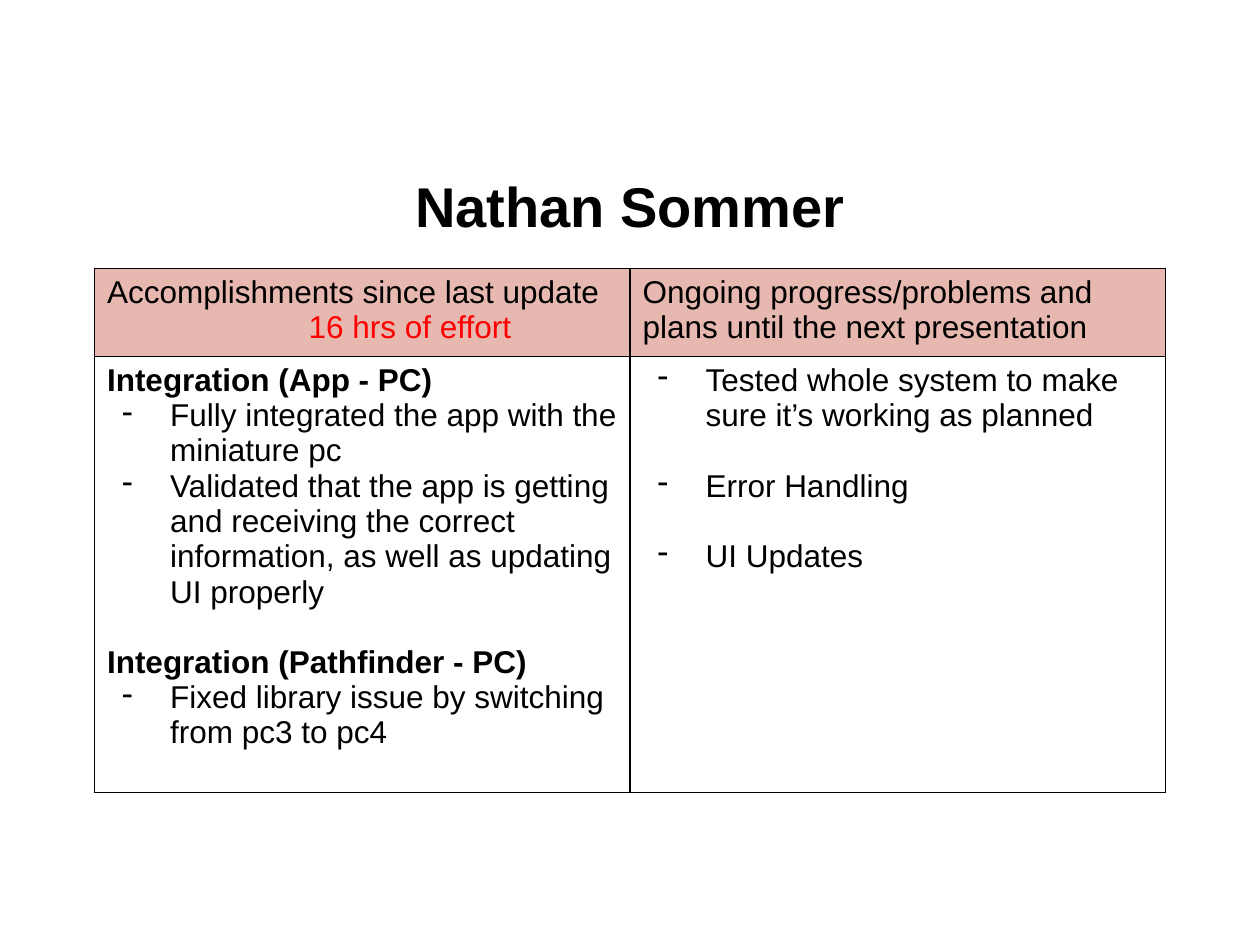
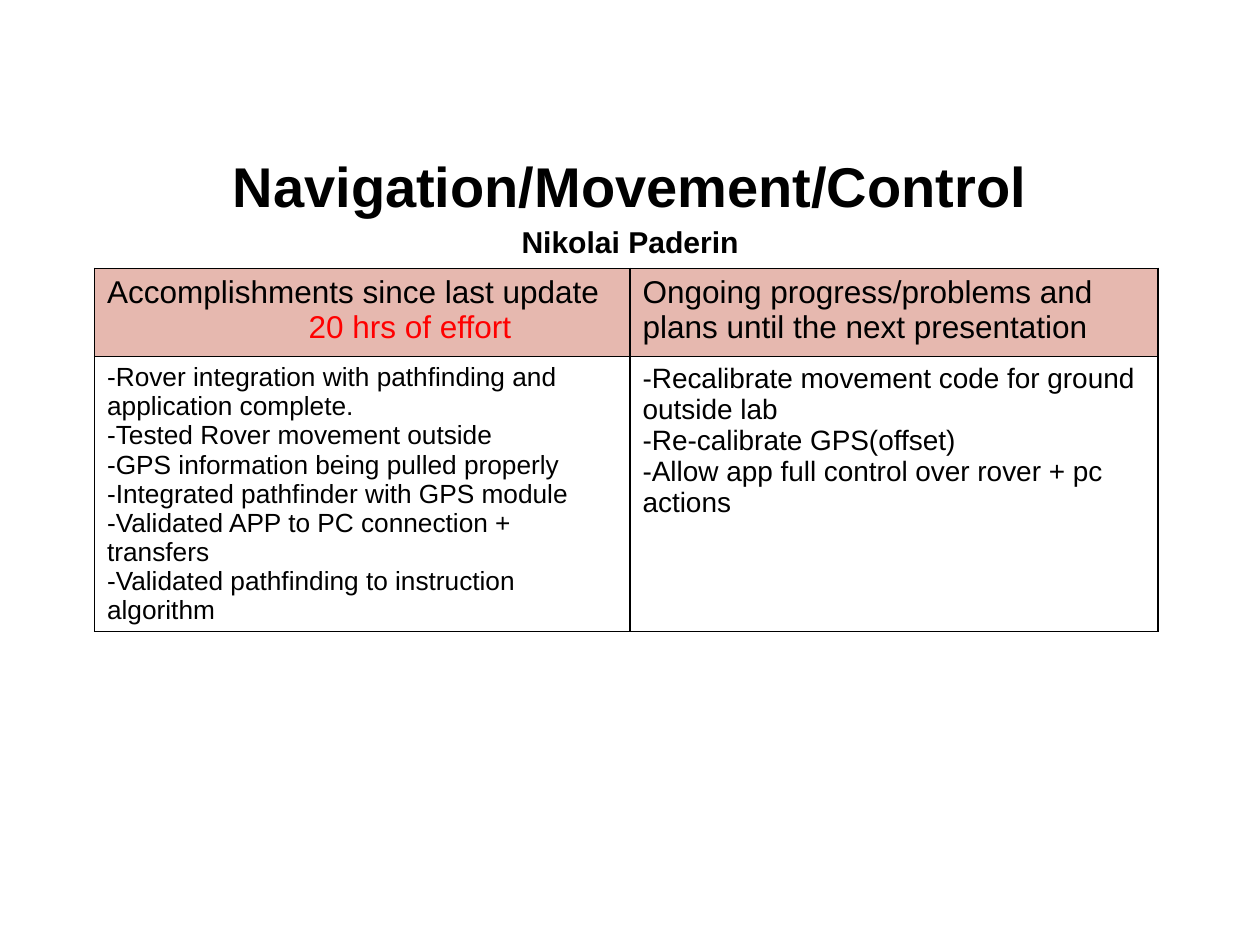
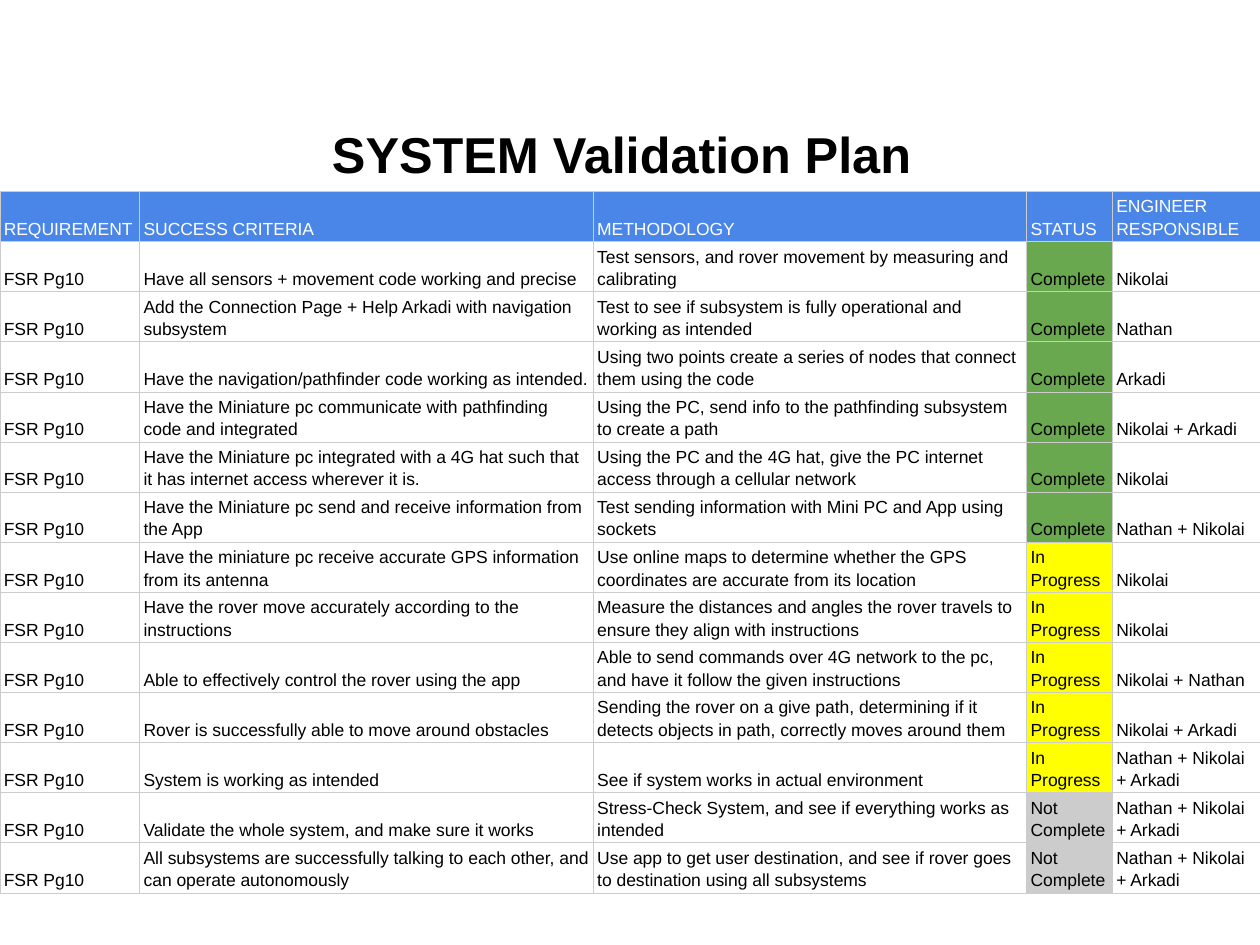
"""Build the project status slides: two progress updates and the validation plan."""
from dataclasses import dataclass

from lxml import etree
from pptx import Presentation
from pptx import util as u
from pptx.dml.color import RGBColor
from pptx.enum import text
from pptx.oxml.ns import qn


@dataclass(frozen=True)
class Theme:
    """Colours, type sizes and lengths shared by the slides."""
    font: str = "Arial"
    ink: str = "000000"
    accent: str = "FF0000"
    light: str = "FFFFFF"
    update_header: str = "E6B8AF"
    plan_header: str = "4A86E8"
    plan_border: str = "CCCCCC"
    title: float = 32
    subtitle: float = 17.2
    plan_title: float = 28.8
    body: float = 18
    plan: float = 10
    leading: float = 1.15
    gap: float = 20
    indent: float = 0.5
    hanging: float = 0.38
    effort_indent: float = 1.6


THEME = Theme()
STATUS_FILLS = {"Complete": "6AA84F", "In Progress": "FFFF00", "Not Complete": "CCCCCC"}
DONE, DOING, TODO = STATUS_FILLS
EVERYONE = "Nathan + Nikolai + Arkadi"

UPDATES = [
    {
        "title": ["Nathan Sommer"],
        "effort": "16 hrs of effort",
        "columns": [4.25, 4.25],
        "body_height": 3.46,
        "sizes": [18, 18],
        "done": [
            ("Integration (App - PC)", "heading"),
            ("Fully integrated the app with the miniature pc", "bullet"),
            ("Validated that the app is getting and receiving the correct information, "
             "as well as updating UI properly", "bullet"),
            ("Integration (Pathfinder - PC)", "heading"),
            ("Fixed library issue by switching from pc3 to pc4", "bullet"),
        ],
        "next": [
            ("Tested whole system to make sure it’s working as planned", "spaced bullet"),
            ("Error Handling", "spaced bullet"),
            ("UI Updates", "spaced bullet"),
        ],
    },
    {
        "title": ["Navigation/Movement/Control", "Nikolai Paderin"],
        "effort": "20 hrs of effort",
        "columns": [4.25, 4.19],
        "body_height": 2.18,
        "sizes": [15, 16],
        "done": [
            ("-Rover integration with pathfinding and application complete.", "plain"),
            ("-Tested Rover movement outside", "plain"),
            ("-GPS information being pulled properly", "plain"),
            ("-Integrated pathfinder with GPS module", "plain"),
            ("-Validated APP to PC connection + transfers", "plain"),
            ("-Validated pathfinding to instruction algorithm", "plain"),
        ],
        "next": [
            ("-Recalibrate movement code for ground outside lab", "plain"),
            ("-Re-calibrate GPS(offset)", "plain"),
            ("-Allow app full control over rover + pc actions", "plain"),
        ],
    },
]

PLAN_TITLE = "SYSTEM Validation Plan"
PLAN_HEADER = ("REQUIREMENT", "SUCCESS CRITERIA", "METHODOLOGY", "STATUS", "ENGINEER RESPONSIBLE")
PLAN_COLUMNS = [1.11, 3.6, 3.44, 0.68, 1.17]
PLAN_HEIGHT = 5.57
REQUIREMENT = "FSR Pg10"
PLAN = [
    ("Have all sensors + movement code working and precise",
     "Test sensors, and rover movement by measuring and calibrating", DONE, "Nikolai"),
    ("Add the Connection Page + Help Arkadi with navigation subsystem",
     "Test to see if subsystem is fully operational and working as intended", DONE, "Nathan"),
    ("Have the navigation/pathfinder code working as intended.",
     "Using two points create a series of nodes that connect them using the code", DONE, "Arkadi"),
    ("Have the Miniature pc communicate with pathfinding code and integrated",
     "Using the PC, send info to the pathfinding subsystem to create a path",
     DONE, "Nikolai + Arkadi"),
    ("Have the Miniature pc integrated with a 4G hat such that it has internet access "
     "wherever it is.",
     "Using the PC and the 4G hat, give the PC internet access through a cellular network",
     DONE, "Nikolai"),
    ("Have the Miniature pc send and receive information from the App",
     "Test sending information with Mini PC and App using sockets", DONE, "Nathan + Nikolai"),
    ("Have the miniature pc receive accurate GPS information from its antenna",
     "Use online maps to determine whether the GPS coordinates are accurate from its location",
     DOING, "Nikolai"),
    ("Have the rover move accurately according to the instructions",
     "Measure the distances and angles the rover travels to ensure they align with instructions",
     DOING, "Nikolai"),
    ("Able to effectively control the rover using the app",
     "Able to send commands over 4G network to the pc, and have it follow the given instructions",
     DOING, "Nikolai + Nathan"),
    ("Rover is successfully able to move around obstacles",
     "Sending the rover on a give path, determining if it detects objects in path, "
     "correctly moves around them", DOING, "Nikolai + Arkadi"),
    ("System is working as intended", "See if system works in actual environment",
     DOING, EVERYONE),
    ("Validate the whole system, and make sure it works",
     "Stress-Check System, and see if everything works as intended", TODO, EVERYONE),
    ("All subsystems are successfully talking to each other, and can operate autonomously",
     "Use app to get user destination, and see if rover goes to destination using all subsystems",
     TODO, EVERYONE),
]


def set_font(para, size, color=THEME.ink, bold=False):
    """Give a paragraph its typeface, size, colour and weight."""
    font = para.font
    font.name, font.size, font.bold = THEME.font, u.Pt(size), bold
    font.color.rgb = RGBColor.from_string(color)


def set_indent(para, left, first=0, bullet=None):
    """Indent a paragraph and hang an optional bullet character."""
    props = para._p.get_or_add_pPr()
    props.set("marL", str(u.Inches(left)))
    props.set("indent", str(u.Inches(first)))
    if bullet:
        etree.SubElement(props, qn("a:buChar"), char=bullet)


def fill_frame(frame, items, size):
    """Write (text, kind) items as the paragraphs of a text frame."""
    for index, (words, kind) in enumerate(items):
        para = frame.paragraphs[0] if index == 0 else frame.add_paragraph()
        para.text = words
        if index and kind in ("heading", "spaced bullet"):
            para.space_before = u.Pt(THEME.gap)
        if kind.endswith("bullet"):
            set_indent(para, THEME.indent, -THEME.hanging, "-")
        elif kind == "effort":
            set_indent(para, THEME.effort_indent)
        color = THEME.accent if kind == "effort" else THEME.ink
        set_font(para, size, color, kind == "heading")


def set_borders(cell, color, width):
    """Draw the four sides of a cell."""
    props = cell._tc.get_or_add_tcPr()
    for position, side in enumerate(("a:lnL", "a:lnR", "a:lnT", "a:lnB")):
        line = etree.Element(qn(side), w=str(u.Pt(width)))
        solid = etree.SubElement(line, qn("a:solidFill"))
        etree.SubElement(solid, qn("a:srgbClr"), val=color)
        props.insert(position, line)


def set_fill(cell, color):
    """Fill a cell, or leave it clear when there is no colour."""
    if color:
        cell.fill.solid()
        cell.fill.fore_color.rgb = RGBColor.from_string(color)
    else:
        cell.fill.background()


def add_grid(page, left, top, columns, rows, border):
    """Add a plain table with given column widths, row heights and (colour, width) border."""
    frame = page.shapes.add_table(len(rows), len(columns), u.Inches(left), u.Inches(top),
                                  u.Inches(sum(columns)), u.Inches(sum(rows)))
    table = frame.table
    table.first_row = table.horz_banding = False
    for column, width in zip(table.columns, columns):
        column.width = u.Inches(width)
    for row, height in zip(table.rows, rows):
        row.height = u.Inches(height)
    for cell in table.iter_cells():
        set_borders(cell, *border)
    return table


def add_page(deck, lines, top, sizes, leading):
    """Add a title-only slide and format its title lines."""
    page = deck.slides.add_slide(deck.slide_layouts[5])
    box = page.shapes.title
    box.left, box.top = u.Inches(0.5), u.Inches(top)
    box.width, box.height = u.Inches(9), u.Inches(0.88)
    frame = box.text_frame
    frame.word_wrap, frame.auto_size = True, text.MSO_AUTO_SIZE.NONE
    frame.vertical_anchor = text.MSO_ANCHOR.MIDDLE
    frame.text = "\n".join(lines)
    for para, size in zip(frame.paragraphs, sizes):
        para.alignment, para.line_spacing = text.PP_ALIGN.CENTER, leading
        set_font(para, size, bold=True)
    return page


def add_update(deck, update):
    """Add one member's progress slide."""
    page = add_page(deck, update["title"], 1.15, (THEME.title, THEME.subtitle), THEME.leading)
    table = add_grid(page, 0.75, 2.13, update["columns"], [0.7, update["body_height"]],
                     (THEME.ink, 1))
    headers = [
        [("Accomplishments since last update", "plain"), (update["effort"], "effort")],
        [("Ongoing progress/problems and plans until the next presentation", "plain")],
    ]
    bodies = [update["done"], update["next"]]
    for column, (header, body, size) in enumerate(zip(headers, bodies, update["sizes"])):
        top, bottom = table.cell(0, column), table.cell(1, column)
        set_fill(top, THEME.update_header)
        set_fill(bottom, None)
        fill_frame(top.text_frame, header, THEME.body)
        fill_frame(bottom.text_frame, body, size)


def add_plan(deck):
    """Add the validation plan slide."""
    page = add_page(deck, [PLAN_TITLE], 0.98, [THEME.plan_title], 1)
    frame = page.shapes.title.text_frame
    frame.vertical_anchor = text.MSO_ANCHOR.TOP
    frame.margin_top, frame.margin_right = 0, u.Inches(0.23)
    records = [PLAN_HEADER] + [(REQUIREMENT, *record) for record in PLAN]
    heights = [PLAN_HEIGHT / len(records)] * len(records)
    table = add_grid(page, 0, 1.52, PLAN_COLUMNS, heights, (THEME.plan_border, 0.5))
    for row, record in enumerate(records):
        for column, words in enumerate(record):
            cell = table.cell(row, column)
            cell.margin_left = cell.margin_right = u.Inches(0.03)
            cell.margin_top = cell.margin_bottom = u.Inches(0.02)
            cell.vertical_anchor = text.MSO_ANCHOR.BOTTOM
            set_fill(cell, STATUS_FILLS.get(words) if row else THEME.plan_header)
            cell.text = words
            para = cell.text_frame.paragraphs[0]
            para.line_spacing = THEME.leading
            set_font(para, THEME.plan, THEME.ink if row else THEME.light)


def main():
    """Build and save the deck."""
    deck = Presentation()
    deck.slide_width, deck.slide_height = u.Inches(10), u.Inches(7.5)
    for update in UPDATES:
        add_update(deck, update)
    add_plan(deck)
    deck.save("out.pptx")


if __name__ == "__main__":
    main()
